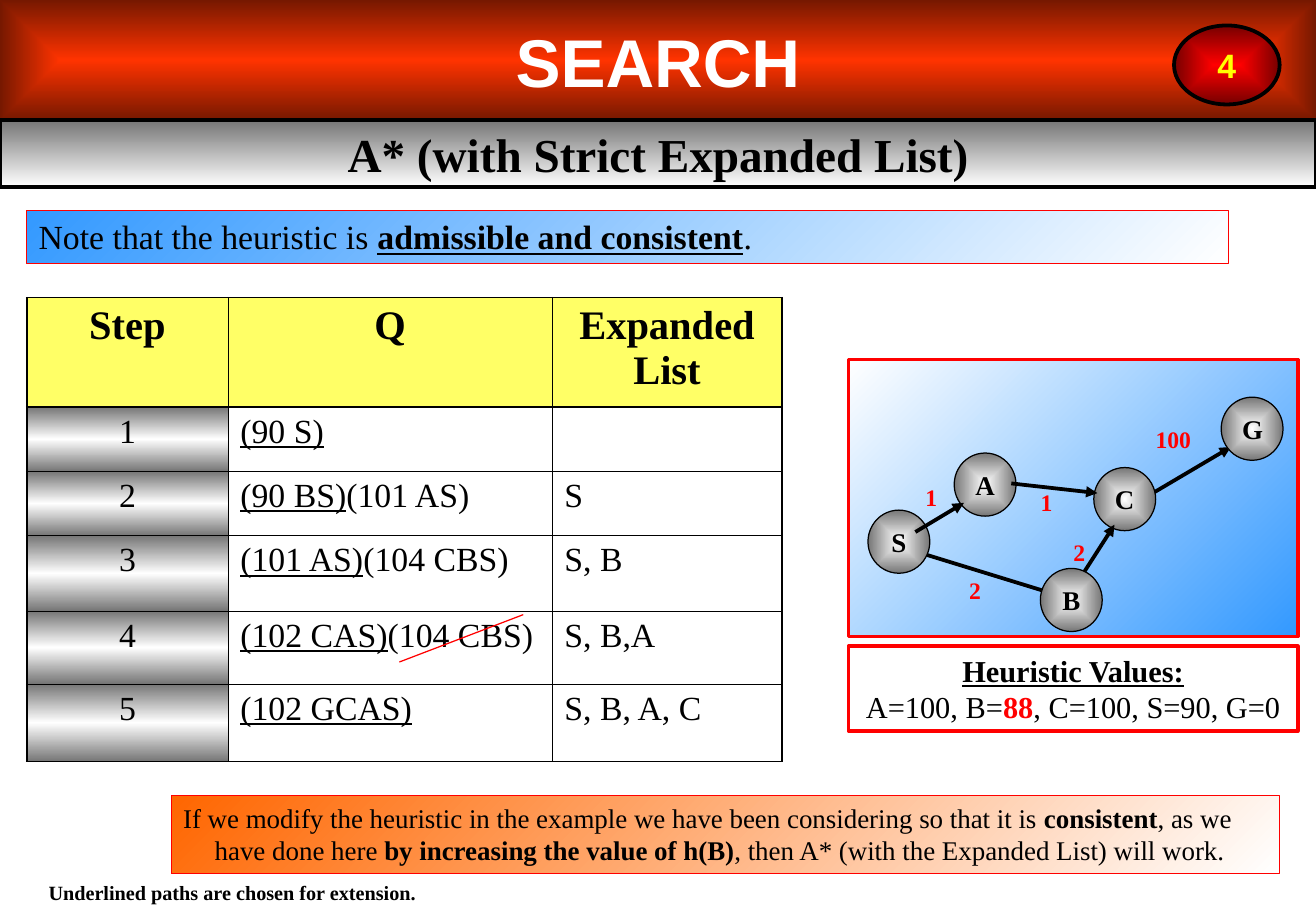
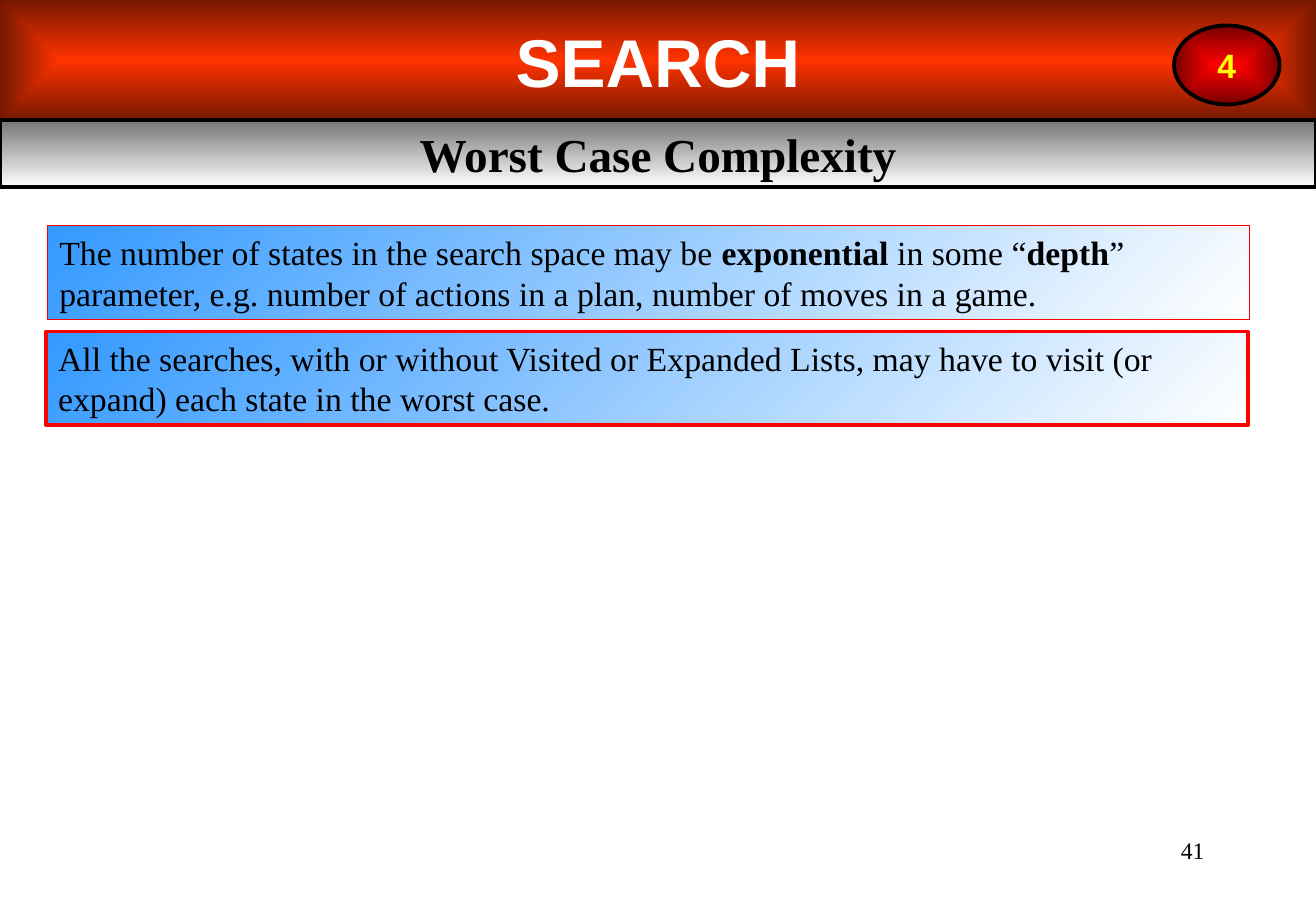
import lxml.etree
import pptx
import pptx.dml.color
import pptx.enum.shapes
import pptx.enum.text
import pptx.oxml.ns
import pptx.util

qn = pptx.oxml.ns.qn
rgb = pptx.dml.color.RGBColor.from_string
SHAPE = pptx.enum.shapes.MSO_SHAPE
ALIGN = pptx.enum.text.PP_ALIGN
ANCHOR = pptx.enum.text.MSO_ANCHOR


class Theme:
    serif, sans = "Times New Roman", "Arial"
    black, white, red, yellow, header = "000000", "FFFFFF", "FF0000", "FFFF00", "FFFF66"
    banner, heading, table_head, body, values, note, label, caption = 40, 28, 24, 20, 18, 16, 14, 12
    thick, thin = 2.25, 0.75
    outer, inner = 1.08, 0.45
    banner_fill = (("FF3300", "761800"), "centre")
    badge_fill = (("FF0000", "760000"), "centre")
    node_fill = (("FFFFFF", "767676"), "centre")
    heading_fill = (("767676", "FFFFFF"), 90)
    step_fill = (("767676", "FFFFFF", "767676"), 90)
    blue_fill = (("3399FF", "FFFFFF"), 45)
    graph_fill = (("FFFFFF", "3399FF"), 45)
    orange_fill = (("FF6600", "FFFFFF"), 45)
    arrow = (black, thick, True)
    strike = (red, thin, False)


deck = pptx.Presentation()
deck.slide_width = pptx.util.Inches(10.84)
deck.slide_height = pptx.util.Inches(7.5)
column, row = deck.slide_width / 100, deck.slide_height / 100


def draw(page, kind, place, line=None, middle=False, wrap=True):
    left, top, width, height = place
    frame = [int(n) for n in (left * column, top * row, width * column, height * row)]
    if kind is None:
        box = page.shapes.add_textbox(*frame)
    else:
        box = page.shapes.add_shape(kind, *frame)
        box.shadow.inherit = False
        if line:
            box.line.color.rgb = rgb(line[0])
            box.line.width = pptx.util.Pt(line[1])
        else:
            box.line.fill.background()
    box.text_frame.word_wrap = wrap
    box.text_frame.vertical_anchor = ANCHOR.MIDDLE if middle else ANCHOR.TOP
    return box


def style(target, element, fill, paragraphs, size=Theme.body, color=Theme.black,
          bold=False, align=ALIGN.LEFT, font=Theme.serif):
    if fill is None:
        target.fill.background()
    elif isinstance(fill, str):
        target.fill.solid()
        target.fill.fore_color.rgb = rgb(fill)
    else:
        colors, direction = fill
        target.fill.gradient()
        gradient = element.find(".//" + qn("a:gradFill"))
        for child in list(gradient):
            gradient.remove(child)
        stops = lxml.etree.SubElement(gradient, qn("a:gsLst"))
        for index, stop_color in enumerate(colors):
            position = index * 100000 // (len(colors) - 1)
            stop = lxml.etree.SubElement(stops, qn("a:gs"), pos=str(position))
            lxml.etree.SubElement(stop, qn("a:srgbClr"), val=stop_color)
        if direction == "centre":
            rays = lxml.etree.SubElement(gradient, qn("a:path"), path="rect")
            lxml.etree.SubElement(rays, qn("a:fillToRect"), {side: "50000" for side in "ltrb"})
        else:
            lxml.etree.SubElement(gradient, qn("a:lin"), ang=str(direction * 60000), scaled="0")
    for index, spans in enumerate(paragraphs):
        frame = target.text_frame
        para = frame.paragraphs[0] if index == 0 else frame.add_paragraph()
        para.alignment = align
        para.font.name = font
        para.font.size = pptx.util.Pt(size)
        para.font.bold = bold
        para.font.color.rgb = rgb(color)
        for text, marks in spans:
            span = para.add_run()
            span.text = text
            if "b" in marks:
                span.font.bold = True
            if "u" in marks:
                span.font.underline = True
            if "r" in marks:
                span.font.color.rgb = rgb(Theme.red)


pages = []
for heading in ("A* (with Strict Expanded List)", "Worst Case Complexity"):
    page = deck.slides.add_slide(deck.slide_layouts[6])
    pages.append(page)
    banner = draw(page, SHAPE.RECTANGLE, (0, 0, 100, 13.2), middle=True)
    style(banner, banner._element, Theme.banner_fill, [[("SEARCH", "")]],
          Theme.banner, Theme.white, True, ALIGN.CENTER, Theme.sans)
    strip = draw(page, SHAPE.RECTANGLE, (0, 13.2, 100, 7.33), (Theme.black, Theme.thick), True)
    style(strip, strip._element, Theme.heading_fill, [[(heading, "")]],
          Theme.heading, bold=True, align=ALIGN.CENTER)
    badge = draw(page, SHAPE.OVAL, (89.21, 2.8, 8.03, 8.67), (Theme.black, Theme.thick), True, False)
    style(badge, badge._element, Theme.badge_fill, [[("4", "")]],
          Theme.body, Theme.yellow, True, ALIGN.CENTER, Theme.sans)
example, complexity = pages

statements = [
    (example, (2.03, 23.07, 91.33, 5.87), Theme.thin,
     [("Note that the heuristic is ", ""), ("admissible and consistent", "bu"), (".", "")]),
    (complexity, (3.6, 24.8, 91.33, 10.27), Theme.thin,
     [("The number of states in the search space may be ", ""), ("exponential", "b"),
      (" in some “", ""), ("depth", "b"),
      ("” parameter, e.g. number of actions in a plan, number of moves in a game.", "")]),
    (complexity, (3.51, 36.4, 91.33, 10.27), Theme.thick,
     [("All the searches, with or without Visited or Expanded Lists, may have to visit "
       "(or expand) each state in the worst case.", "")]),
]
for page, place, weight, spans in statements:
    box = draw(page, SHAPE.RECTANGLE, place, (Theme.red, weight))
    style(box, box._element, Theme.blue_fill, [spans])

widths = (15.31, 24.63, 17.44)
heights = (12, 7.07, 7.07, 8.27, 8, 8.53)
steps = [
    ("(90 S)", "", ""),
    ("(90 BS)", "(101 AS)", "S"),
    ("(101 AS)", "(104 CBS)", "S, B"),
    ("(102 CAS)", "(104 CBS)", "S, B,A"),
    ("(102 GCAS)", "", "S, B, A, C"),
]
grid = [[[(title, "")] for title in ("Step", "Q", "Expanded List")]]
for number, (chosen, waiting, expanded) in enumerate(steps, 1):
    queue = [(chosen, "u")] + ([(waiting, "")] if waiting else [])
    grid.append([[(str(number), "")], queue, [(expanded, "")] if expanded else []])

table = example.shapes.add_table(
    len(heights), len(widths), int(2.03 * column), int(32.67 * row),
    int(sum(widths) * column), int(sum(heights) * row)).table
table.first_row = table.horz_banding = False
for index, width in enumerate(widths):
    table.columns[index].width = int(width * column)
for r, height in enumerate(heights):
    table.rows[r].height = int(height * row)
    for c, spans in enumerate(grid[r]):
        cell = table.cell(r, c)
        properties = cell._tc.get_or_add_tcPr()
        edges = {"L": c == 0, "R": c == len(widths) - 1,
                 "T": r <= 1, "B": r in (0, len(heights) - 1)}
        for side, heavy in edges.items():
            weight = pptx.util.Pt(Theme.outer if heavy else Theme.inner)
            border = lxml.etree.SubElement(properties, qn("a:ln" + side), w=str(int(weight)))
            paint = lxml.etree.SubElement(border, qn("a:solidFill"))
            lxml.etree.SubElement(paint, qn("a:srgbClr"), val=Theme.black)
        head = r == 0
        fill = Theme.header if head else Theme.step_fill if c == 0 else None
        style(cell, cell._tc, fill, [spans], Theme.table_head if head else Theme.body,
              bold=head, align=ALIGN.CENTER if head or c == 0 else ALIGN.LEFT)

graph = draw(example, SHAPE.RECTANGLE, (64.48, 39.47, 34.13, 30.4), (Theme.red, Theme.thick))
style(graph, graph._element, Theme.graph_fill, [])

layers = [
    (Theme.arrow, [(86.35, 55.2, 93.54, 49.07)],
     [("A", 72.51, 49.73), ("C", 83.12, 51.33), ("G", 92.8, 43.6)]),
    (Theme.arrow, [(69.56, 60.53, 81.27, 65.73), (82.38, 62.8, 84.69, 57.6),
                   (76.85, 53.07, 83.39, 54.13)], [("S", 65.96, 56)]),
    (Theme.arrow, [(69.56, 58.4, 73.25, 55.2)], [("B", 79.06, 62.4)]),
    (Theme.strike, [(30.35, 72.67, 39.76, 67.47)], []),
]
for (color, weight, arrow), lines, nodes in layers:
    for x1, y1, x2, y2 in lines:
        line = example.shapes.add_connector(
            pptx.enum.shapes.MSO_CONNECTOR.STRAIGHT,
            int(x1 * column), int(y1 * row), int(x2 * column), int(y2 * row))
        line.line.color.rgb = rgb(color)
        line.line.width = pptx.util.Pt(weight)
        if arrow:
            lxml.etree.SubElement(line.line._get_or_add_ln(), qn("a:tailEnd"), type="triangle")
        lxml.etree.SubElement(line._element.spPr, qn("a:effectLst"))
    for name, left, top in nodes:
        node = draw(example, SHAPE.OVAL, (left, top, 4.7, 6.93), (Theme.black, Theme.thin), True)
        style(node, node._element, Theme.node_fill, [[(name, "")]],
              Theme.note, bold=True, align=ALIGN.CENTER)

costs = [("1", 68.5, 52.4), ("1", 77.26, 52.93), ("2", 71.82, 62.53),
         ("100", 86.9, 46), ("2", 79.75, 58.4)]
for cost, left, top in costs:
    label = draw(example, None, (left, top, 4.52, 4.53), wrap=False)
    style(label, label._element, None, [[(cost, "")]],
          Theme.label, Theme.red, True, ALIGN.CENTER)

heuristic = draw(example, SHAPE.RECTANGLE, (64.48, 70.93, 34.13, 9.33), (Theme.red, Theme.thick))
style(heuristic, heuristic._element, None,
      [[("Heuristic Values:", "bu")],
       [("A=100, B=", ""), ("88", "br"), (", C=100, S=90, G=0", "")]],
      Theme.values, align=ALIGN.CENTER)

caption = draw(example, None, (2.77, 96, 29.8, 4), wrap=False)
style(caption, caption._element, None, [[("Underlined paths are chosen for extension.", "")]],
      Theme.caption, bold=True, align=ALIGN.CENTER)

remark = draw(example, SHAPE.RECTANGLE, (13.01, 87.33, 84.23, 8.53), (Theme.red, Theme.thin))
style(remark, remark._element, Theme.orange_fill,
      [[("If we modify the heuristic in the example we have been considering so that it is ", ""),
        ("consistent", "b"), (", as we have done here ", ""),
        ("by increasing the value of h(B)", "b"),
        (", then A* (with the Expanded List) will work.", "")]], Theme.note)
hanging = remark.text_frame.paragraphs[0]._p.get_or_add_pPr()
hanging.set("marL", str(int(2.4 * column)))
hanging.set("indent", str(int(-2.4 * column)))

number = draw(complexity, None, (71.59, 91.07, 20.85, 6.67))
style(number, number._element, None, [[("41", "")]], Theme.label, align=ALIGN.RIGHT)

deck.save("out.pptx")
